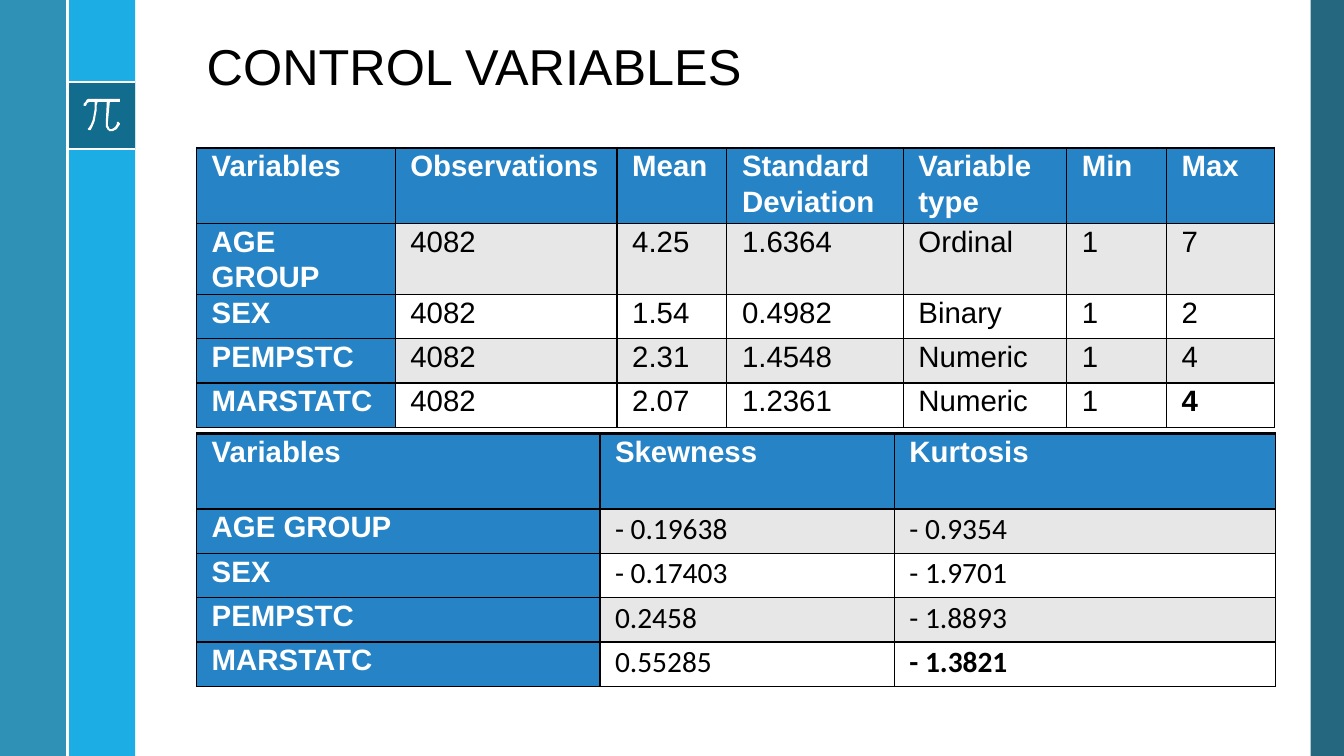
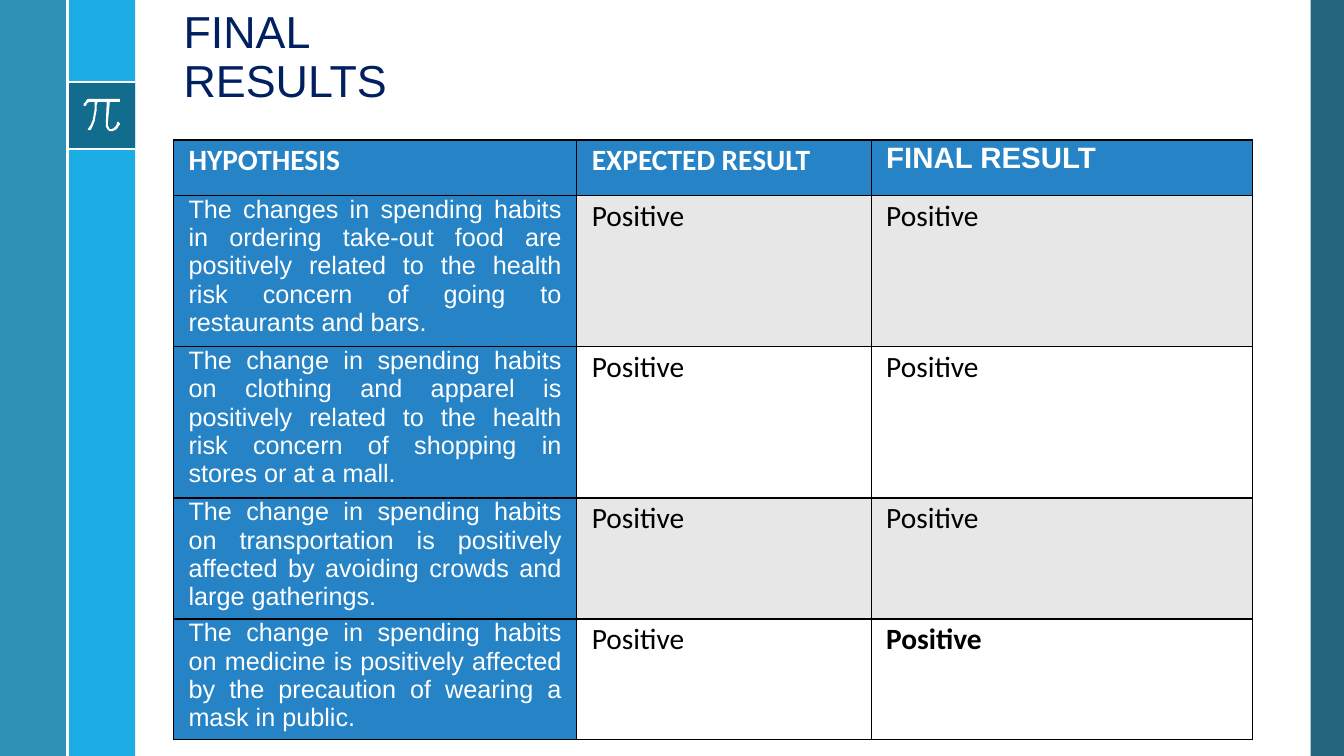
from dataclasses import dataclass, replace
from itertools import accumulate

from lxml import etree
from pptx import Presentation
from pptx.dml.color import RGBColor
from pptx.enum import shapes, text
from pptx.oxml import ns
from pptx.util import Inches, Pt


@dataclass(frozen=True)
class Theme:
    dark: str = "0E5772"
    mid: str = "1482AC"
    bright: str = "1CADE4"
    label: str = "2683C6"
    stripe: str = "E7E7E7"
    white: str = "FFFFFF"
    black: str = "000000"
    navy: str = "002060"
    sans: str = "Arial"
    plain: str = "Calibri"
    title_size: int = 36
    small_title_size: int = 32
    cell_size: int = 21
    prose_size: int = 18


@dataclass(frozen=True)
class Look:
    font: str
    color: str
    size: int = Theme.cell_size
    bold: bool = False
    justified: bool = False


THEME = Theme()
HEADING = Look(THEME.sans, THEME.white, bold=True)
PROSE = Look(THEME.sans, THEME.white, THEME.prose_size, justified=True)
FIGURE = Look(THEME.sans, THEME.black)
PLAIN_FIGURE = replace(FIGURE, font=THEME.plain)

SLIDE_W, SLIDE_H = 13.33, 7.5
BAND_W = 0.67
BADGE_TOP = 0.81
TABLE_W = 10.7
WIDE_COLUMNS = [4, 2.92, 3.78]

# Outline of the pi sign in hundredths of an inch: pairs are lines, sixes are curves.
PI_START = (118, 98)
PI_OUTLINE = [
    (90, 98), (85, 98, 83, 103, 83, 104), (83, 104, 83, 105, 84, 105),
    (85, 105), (85, 105, 87, 101, 90, 101), (94, 101),
    (94, 105, 93, 122, 88, 127), (87, 128, 87, 128, 88, 129), (90, 129),
    (95, 123, 96, 105, 97, 101), (106, 101), (105, 122),
    (105, 122, 104, 126, 107, 129), (108, 130, 109, 130, 110, 130),
    (111, 130, 111, 130, 112, 130), (117, 130, 119, 123, 119, 122),
    (119, 122, 118, 121, 118, 121), (117, 121, 116, 121, 116, 122),
    (116, 122, 115, 127, 111, 128), (110, 128, 109, 128, 108, 127),
    (107, 126, 107, 123, 107, 122), (109, 101), (118, 101),
    (119, 101, 119, 100, 119, 100), (119, 99, 119, 98, 118, 98),
]

CONTROL_ROWS = [
    ["Variables", "Observations", "Mean", "Standard Deviation",
     "Variable type", "Min", "Max"],
    ["AGE GROUP", "4082", "4.25", "1.6364", "Ordinal", "1", "7"],
    ["SEX", "4082", "1.54", "0.4982", "Binary", "1", "2"],
    ["PEMPSTC", "4082", "2.31", "1.4548", "Numeric", "1", "4"],
    ["MARSTATC", "4082", "2.07", "1.2361", "Numeric", "1", "4"],
]
SHAPE_ROWS = [
    ["Variables", "Skewness", "Kurtosis"],
    ["AGE GROUP", "- 0.19638", "- 0.9354"],
    ["SEX", "- 0.17403", "- 1.9701"],
    ["PEMPSTC", "0.2458", "- 1.8893"],
    ["MARSTATC", "0.55285", "- 1.3821"],
]
HYPOTHESES = [
    "The changes in spending habits in ordering take-out food are positively "
    "related to the health risk concern of going to restaurants and bars.",
    "The change in spending habits on clothing and apparel is positively "
    "related to the health risk concern of shopping in stores or at a mall.",
    "The change in spending habits on transportation is positively affected "
    "by avoiding crowds and large gatherings.",
    "The change in spending habits on medicine is positively affected by the "
    "precaution of wearing a mask in public.",
]
RESULT_ROWS = [["HYPOTHESIS", "EXPECTED RESULT", "FINAL RESULT"]] + [
    [hypothesis, "Positive", "Positive"] for hypothesis in HYPOTHESES]


def rgb(color):
    return RGBColor.from_string(color)


def place(shape, left, top, width, height):
    shape.left, shape.top = Inches(left), Inches(top)
    shape.width, shape.height = Inches(width), Inches(height)


def paint(shape, color, opacity=100):
    shape.shadow.inherit = False
    shape.line.fill.background()
    shape.fill.solid()
    shape.fill.fore_color.rgb = rgb(color)
    if opacity < 100:
        tint = shape.element.spPr.find(".//" + ns.qn("a:srgbClr"))
        etree.SubElement(tint, ns.qn("a:alpha"), val=str(opacity * 1000))


def add_band(slide, left, top, width, height, color, opacity=100):
    band = slide.shapes.add_shape(
        shapes.MSO_SHAPE.RECTANGLE, Inches(left), Inches(top), Inches(width), Inches(height))
    paint(band, color, opacity)
    return band


def add_rule(slide, x1, y1, x2, y2):
    rule = slide.shapes.add_connector(
        shapes.MSO_CONNECTOR.STRAIGHT, Inches(x1), Inches(y1), Inches(x2), Inches(y2))
    rule.line.color.rgb = rgb(THEME.white)
    rule.line.width = Pt(1.5)
    etree.SubElement(rule.element.spPr, ns.qn("a:effectLst"))
    return rule


def curve_points(start, curve, steps=6):
    """Points along a cubic curve, without its start."""
    x1, y1, x2, y2, x3, y3 = curve
    for step in range(1, steps + 1):
        t = step / steps
        weights = ((1 - t) ** 3, 3 * t * (1 - t) ** 2, 3 * t * t * (1 - t), t ** 3)
        yield tuple(
            sum(w * c for w, c in zip(weights, axis))
            for axis in ((start[0], x1, x2, x3), (start[1], y1, y2, y3)))


def add_pi(slide):
    points = [PI_START]
    for part in PI_OUTLINE:
        points += [part] if len(part) == 2 else curve_points(points[-1], part)
    builder = slide.shapes.build_freeform(*PI_START, scale=Inches(0.01))
    builder.add_line_segments(points[1:], close=True)
    pi = builder.convert_to_shape()
    paint(pi, THEME.white)
    return pi


def dress_layout(layout, slide):
    """Give the layout its title and bands; the slide only lends its drawing methods."""
    for holder in list(layout.placeholders):
        if holder.placeholder_format.type == shapes.PP_PLACEHOLDER.TITLE:
            place(holder, 1.95, 0.36, TABLE_W, 0.65)
            holder.text_frame.vertical_anchor = text.MSO_ANCHOR.BOTTOM
        else:
            holder.element.getparent().remove(holder.element)
    rail_right = 2 * BAND_W
    badge_bottom = BADGE_TOP + BAND_W
    decor = [
        add_band(slide, 13, 0, SLIDE_W - 13, SLIDE_H, THEME.dark, 90),
        add_band(slide, BAND_W, 0, BAND_W, SLIDE_H, THEME.bright),
        add_band(slide, 0, 0, BAND_W, SLIDE_H, THEME.mid, 88),
        add_band(slide, BAND_W, BADGE_TOP, BAND_W, BAND_W, THEME.dark, 75),
        add_rule(slide, BAND_W, BADGE_TOP, rail_right, BADGE_TOP),
        add_rule(slide, BAND_W, badge_bottom, rail_right, badge_bottom),
        add_pi(slide),
        add_rule(slide, BAND_W, 0, BAND_W, SLIDE_H),
    ]
    for item in decor:
        layout.shapes.element.append(item.element)


def write(paragraph, words, look):
    run = paragraph.add_run()
    run.text = words
    run.font.name = look.font
    run.font.size = Pt(look.size)
    run.font.bold = look.bold
    run.font.color.rgb = rgb(look.color)


def set_title(slide, words, look):
    frame = slide.shapes.title.text_frame
    frame.word_wrap = True
    frame.auto_size = text.MSO_AUTO_SIZE.NONE
    frame.vertical_anchor = text.MSO_ANCHOR.BOTTOM
    line = frame.paragraphs[0]
    line.alignment = text.PP_ALIGN.LEFT
    line.line_spacing = 0.9
    write(line, words, look)


def add_borders(cell, top_width):
    properties = cell._tc.get_or_add_tcPr()
    for side in "LRTB":
        width = Pt(top_width if side == "T" else 1)
        edge = etree.SubElement(properties, ns.qn("a:ln" + side), w=str(width))
        fill = etree.SubElement(edge, ns.qn("a:solidFill"))
        etree.SubElement(fill, ns.qn("a:srgbClr"), val=THEME.black)


def fill_cell(cell, words, look, background, top_width):
    cell.margin_left = cell.margin_right = Inches(0.15)
    cell.margin_top = cell.margin_bottom = 0
    add_borders(cell, top_width)
    cell.fill.solid()
    cell.fill.fore_color.rgb = rgb(background)
    paragraph = cell.text_frame.paragraphs[0]
    if look.justified:
        paragraph.alignment = text.PP_ALIGN.JUSTIFY
    else:
        paragraph.line_spacing = 1.07
        paragraph.space_after = Pt(8)
    write(paragraph, words, look)


def add_grid(slide, left, top, widths, heights, rows, figure,
             label=HEADING, heading_fonts=None):
    """Striped table with a heading row, a label column and a bold last cell."""
    frame = slide.shapes.add_table(
        len(rows), len(widths), Inches(left), Inches(top),
        Inches(sum(widths)), Inches(sum(heights)))
    table = frame.table
    table.first_row = table.horz_banding = False
    for column, width in zip(table.columns, widths):
        column.width = Inches(width)
    for row, height in zip(table.rows, heights):
        row.height = Inches(height)
    fonts = heading_fonts or [HEADING.font] * len(widths)
    last = (len(rows) - 1, len(widths) - 1)
    for r, row in enumerate(rows):
        for c, words in enumerate(row):
            background = THEME.label
            if r == 0:
                look = replace(HEADING, font=fonts[c])
            elif c == 0:
                look = label
            else:
                look = replace(figure, bold=(r, c) == last)
                background = THEME.stripe if r % 2 else THEME.white
            fill_cell(table.cell(r, c), words, look, background, 1 if r else 2)


def add_control_slide(slide):
    set_title(slide, "CONTROL VARIABLES", Look(THEME.sans, THEME.black, THEME.title_size))
    add_grid(slide, 1.95, 1.47, [1.97, 2.2, 1.09, 1.75, 1.62, 0.99, 1.07],
             [0.75, 0.7] + [0.44] * 3, CONTROL_ROWS, FIGURE)
    add_grid(slide, 1.95, 4.3, WIDE_COLUMNS, [0.75] + [0.44] * 4, SHAPE_ROWS, PLAIN_FIGURE)


def add_results_slide(slide):
    place(slide.shapes.title, 1.72, 0.52, 3.29, 0.59)
    set_title(slide, "FINAL RESULTS", Look(THEME.sans, THEME.navy, THEME.small_title_size))
    add_grid(slide, 1.72, 1.39, WIDE_COLUMNS, [0.55, 1.5, 1.5, 1.2, 1.2], RESULT_ROWS,
             PLAIN_FIGURE, PROSE, [THEME.plain, THEME.plain, THEME.sans])


def main():
    deck = Presentation()
    deck.slide_width, deck.slide_height = Inches(SLIDE_W), Inches(SLIDE_H)
    layout = deck.slide_layouts.get_by_name("Title Only")
    control, results = (deck.slides.add_slide(layout) for _ in range(2))
    dress_layout(layout, control)
    add_control_slide(control)
    add_results_slide(results)
    deck.save("out.pptx")


if __name__ == "__main__":
    main()
